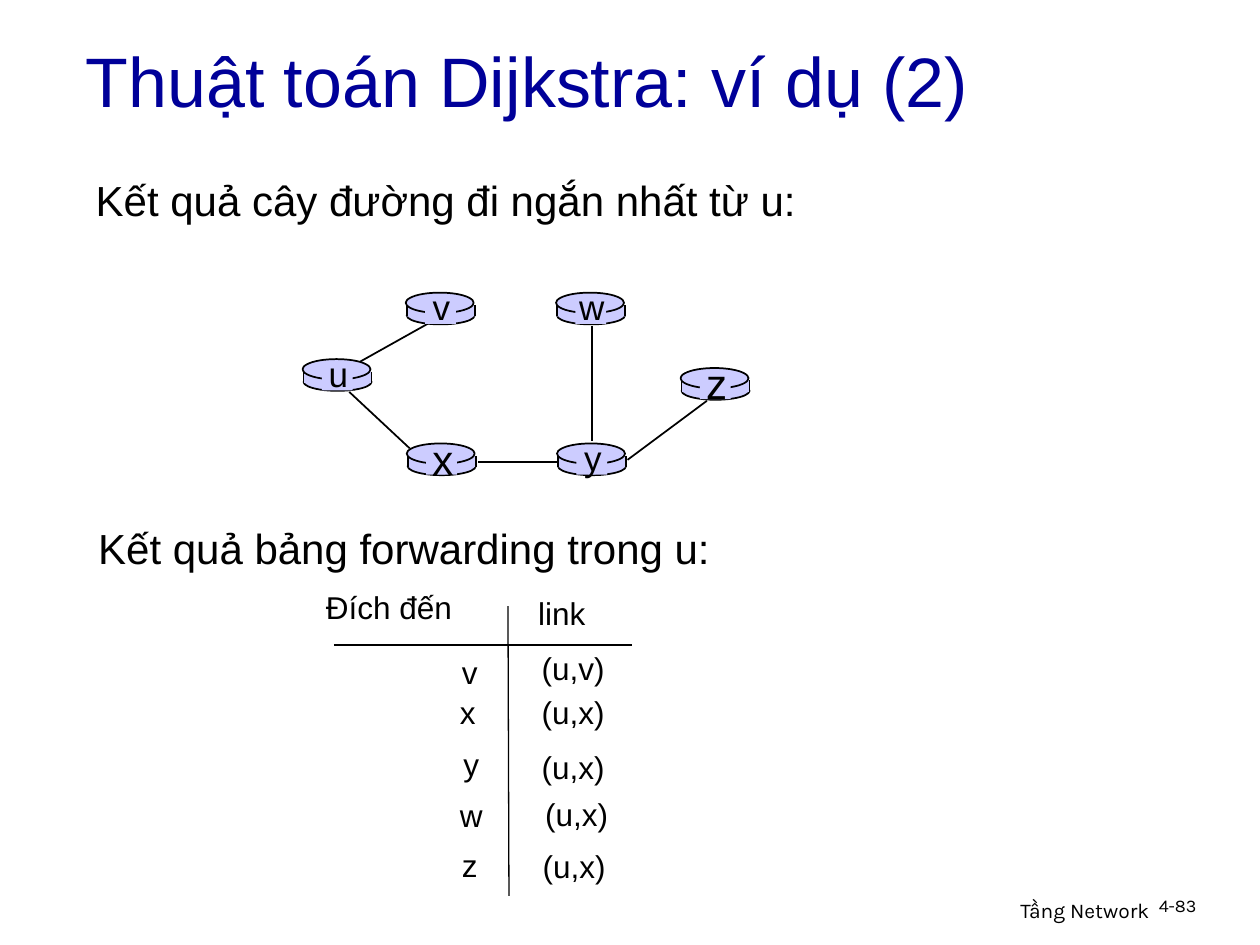
import pptx
import pptx.util
import pptx.dml.color
import pptx.enum.shapes
import pptx.enum.text
import pptx.oxml.ns
from lxml import etree

Cm, Pt = pptx.util.Cm, pptx.util.Pt
RGB = pptx.dml.color.RGBColor
MSO_SHAPE = pptx.enum.shapes.MSO_SHAPE
ALIGN = pptx.enum.text.PP_ALIGN
ANCHOR = pptx.enum.text.MSO_ANCHOR
AUTO_SIZE = pptx.enum.text.MSO_AUTO_SIZE

COLORS = {"title": "000099", "ink": "000000", "router": "CCCCFF"}

deck = pptx.Presentation()
deck.slide_width, deck.slide_height = Cm(25.4), Cm(19.05)
slide = deck.slides.add_slide(deck.slide_layouts[6])


def add_text(text, left, top, width, height, size, color="ink",
             font="Arial", align=ALIGN.LEFT, wrap=False):
    box = slide.shapes.add_textbox(Cm(left), Cm(top), Cm(width), Cm(height))
    frame = box.text_frame
    frame.text = text
    frame.word_wrap = wrap
    frame.auto_size = AUTO_SIZE.NONE if wrap else AUTO_SIZE.SHAPE_TO_FIT_TEXT
    paragraph = frame.paragraphs[0]
    paragraph.alignment = align
    run_font = paragraph.runs[0].font
    run_font.name, run_font.size = font, Pt(size)
    run_font.color.rgb = RGB.from_string(COLORS[color])
    return frame


def add_line(x1, y1, x2, y2, weight):
    line = slide.shapes.add_connector(
        pptx.enum.shapes.MSO_CONNECTOR.STRAIGHT, Cm(x1), Cm(y1), Cm(x2), Cm(y2))
    line.line.color.rgb = RGB.from_string(COLORS["ink"])
    line.line.width = Pt(weight)
    etree.SubElement(line._element.spPr, pptx.oxml.ns.qn("a:effectLst"))


# Footer and title
add_text("Tầng Network", 15.37, 17.96, 8.05, 0.79, 12, font="Karla",
         align=ALIGN.RIGHT, wrap=True)
page_number = add_text("4-83", 23.11, 17.96, 1.88, 0.76, 10.2, font="Karla", wrap=True)
page_number.paragraphs[0].line_spacing = 0.9
title = add_text("Thuật toán Dijkstra: ví dụ (2)", 1.48, 0.43, 21.59, 2.36, 40,
                 color="title", wrap=True)
title.vertical_anchor = ANCHOR.MIDDLE

# Shortest path tree
add_text("Kết quả cây đường đi ngắn nhất từ u:", 1.68, 3.4, 14.8, 1.27, 24)

links = [
    (7.26, 7.29, 8.76, 6.45),     # u-v
    (11.94, 6.58, 11.94, 8.89),   # w-y
    (12.65, 9.27, 14.25, 8.08),   # y-z
    (11.25, 9.32, 9.63, 9.32),    # y-x
    (8.26, 9.04, 7.04, 7.9),      # x-u
]
for link in links:
    add_line(*link, 1)

# name, left, top, label size, label width, label height
routers = [
    ("u", 6.1, 7.24, 20, 0.89, 1.12),
    ("x", 8.2, 8.94, 24, 0.91, 1.27),
    ("v", 8.18, 5.9, 20, 0.86, 1.12),
    ("w", 11.21, 5.9, 20, 1.02, 1.12),
    ("y", 11.23, 8.94, 20, 0.86, 1.12),
    ("z", 13.72, 7.42, 24, 0.91, 1.27),
]
DISC_WIDTH = 1.37
# shape, offset from the router's corner, size, outlined
router_parts = [
    (MSO_SHAPE.OVAL, 0.02, 0.28, DISC_WIDTH, 0.36, True),
    (MSO_SHAPE.RECTANGLE, 0.02, 0.25, DISC_WIDTH, 0.23, False),
    (MSO_SHAPE.OVAL, 0, 0, DISC_WIDTH, 0.41, True),
    (MSO_SHAPE.RECTANGLE, 0.39, 0.05, 0.62, 0.58, False),
]
for name, left, top, size, width, height in routers:
    for kind, dx, dy, part_width, part_height, outlined in router_parts:
        part = slide.shapes.add_shape(
            kind, Cm(left + dx), Cm(top + dy), Cm(part_width), Cm(part_height))
        part.shadow.inherit = False
        part.fill.solid()
        part.fill.fore_color.rgb = RGB.from_string(COLORS["router"])
        if outlined:
            part.line.color.rgb = RGB.from_string(COLORS["ink"])
            part.line.width = Pt(1)
        else:
            part.line.fill.background()
    for side in (left + 0.02, left + 0.02 + DISC_WIDTH):
        add_line(side, top + 0.25, side, top + 0.48, 1)
    add_text(name, left + 0.72 - width / 2, top + 0.3 - height / 2,
             width, height, size, align=ALIGN.CENTER)

# Forwarding table
add_text("Kết quả bảng forwarding trong u:", 1.73, 10.4, 13.2, 1.27, 24)
add_line(10.24, 12.22, 10.26, 18.06, 0.75)
add_line(6.73, 13, 12.75, 13, 0.75)
add_text("Đích đến", 6.32, 11.73, 3.2, 1.02, 18)
add_text("link", 10.6, 11.85, 1.7, 1.02, 18)

# destination, left, top, width; outgoing link, left, top
forwarding = [
    ("v", 9.06, 13.03, 0.85, "(u,v)", 10.67, 12.95),
    ("x", 9.02, 13.84, 0.85, "(u,x)", 10.67, 13.84),
    ("y", 9.09, 14.89, 0.85, "(u,x)", 10.67, 14.96),
    ("w", 9.02, 15.93, 1, "(u,x)", 10.74, 15.91),
    ("z", 9.06, 16.93, 0.85, "(u,x)", 10.69, 16.95),
]
for target, target_left, target_top, target_width, link, link_left, link_top in forwarding:
    add_text(target, target_left, target_top, target_width, 1.02, 18)
    add_text(link, link_left, link_top, 1.85, 1.02, 18)

deck.save("out.pptx")
